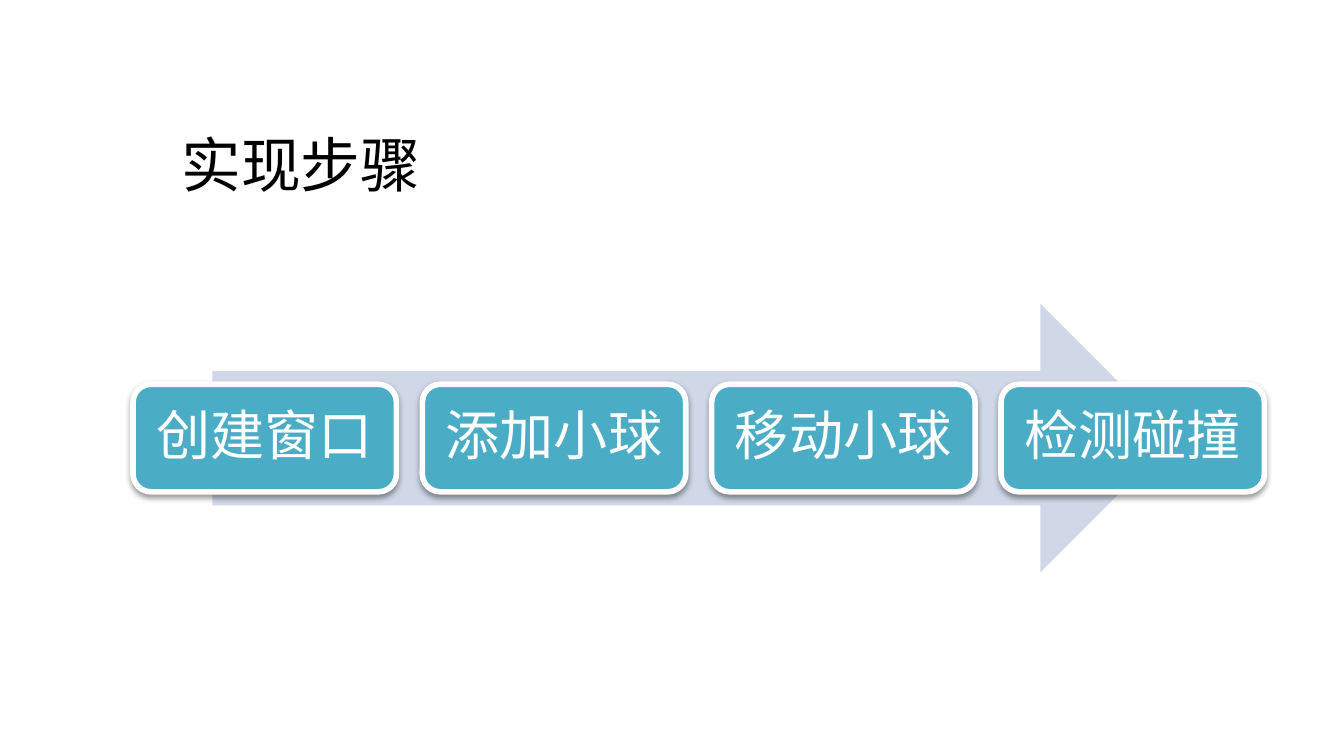
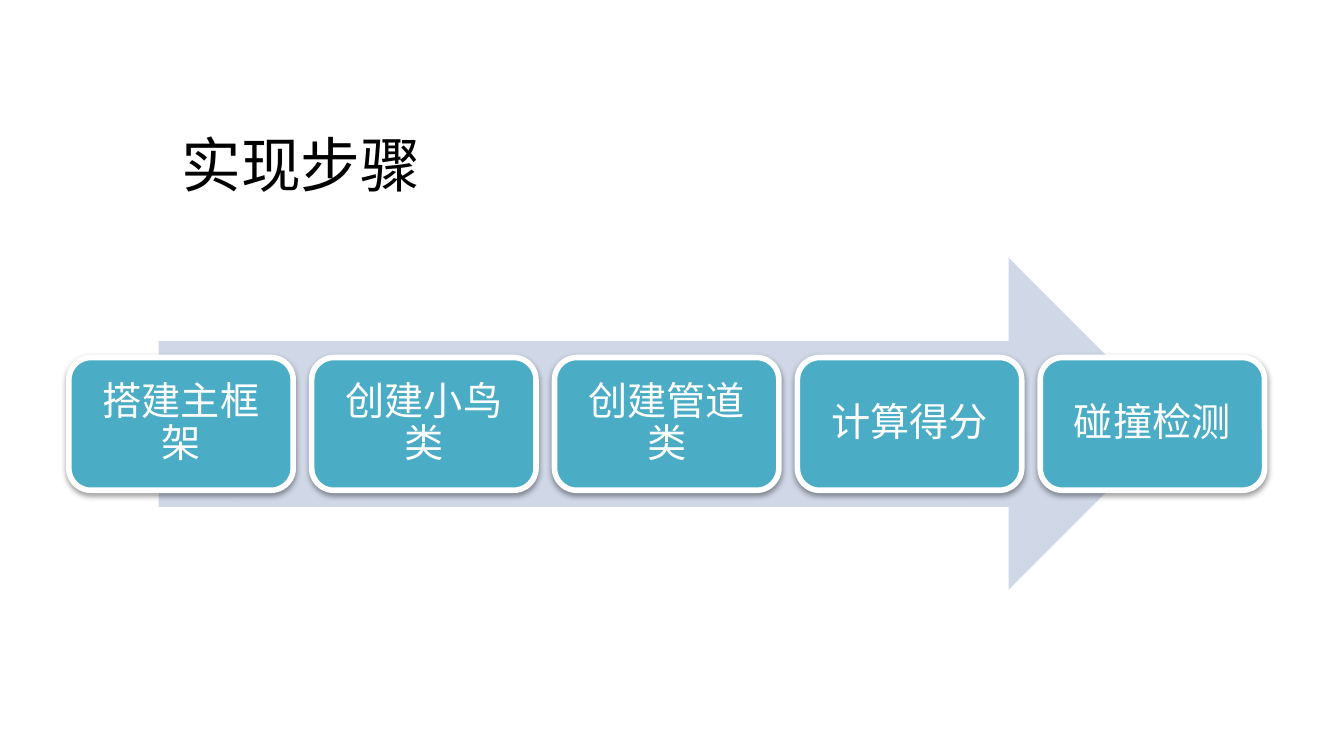
"""Build two slides that show implementation steps along an arrow."""
from dataclasses import dataclass

from lxml import etree
from pptx import Presentation
from pptx.dml.color import RGBColor
from pptx.enum.shapes import MSO_SHAPE
from pptx.enum.text import MSO_ANCHOR, MSO_AUTO_SIZE, PP_ALIGN
from pptx.oxml.ns import qn
from pptx.util import Pt

RIGHT_ARROW = MSO_SHAPE.RIGHT_ARROW
ROUNDED_RECTANGLE = MSO_SHAPE.ROUNDED_RECTANGLE
LEFT, CENTER = PP_ALIGN.LEFT, PP_ALIGN.CENTER
TOP, MIDDLE = MSO_ANCHOR.TOP, MSO_ANCHOR.MIDDLE
NO_AUTOFIT = MSO_AUTO_SIZE.NONE

FONT = "Calibri"
BLACK, WHITE = "000000", "FFFFFF"
ARROW_FILL, STEP_FILL = "D0D8E8", "4BACC6"
TITLE = "实现步骤"
TITLE_SIZE = 32
TITLE_BOX = (90, 64.8, 284.4, 48.2)
STEP_HEIGHT_RATIO = 0.4
TITLE_ONLY_LAYOUT = 5


@dataclass(frozen=True)
class Process:
    """Steps and layout of one process diagram, in points."""
    steps: tuple[str, ...]
    arrow: tuple[float, float, float, float]
    left: float
    step_width: float
    gap: float
    font_size: float
    inset: float


PROCESSES = (
    Process(("创建窗口", "添加小球", "移动小球", "检测碰撞"),
            (113.8, 162.7, 515.5, 144), 71.3, 141.1, 13.9, 29, 8.6),
    Process(("搭建主框架", "创建小鸟类", "创建管道类", "计算得分", "碰撞检测"),
            (85, 138.2, 544.3, 177.8), 36.9, 120.2, 9.9, 21, 6.5),
)


def color(value: str) -> RGBColor:
    return RGBColor.from_string(value)


def write_text(shape, text: str, size: float, text_color: str, alignment, anchor) -> None:
    frame = shape.text_frame
    frame.text = text
    frame.word_wrap = True
    frame.auto_size = NO_AUTOFIT
    frame.vertical_anchor = anchor
    paragraph = frame.paragraphs[0]
    paragraph.alignment = alignment
    font = paragraph.runs[0].font
    font.name = FONT
    font.size = Pt(size)
    font.color.rgb = color(text_color)


def add_filled_shape(slide, kind, box: tuple[float, float, float, float], fill: str):
    shape = slide.shapes.add_shape(kind, *map(Pt, box))
    shape.shadow.inherit = False
    shape.fill.solid()
    shape.fill.fore_color.rgb = color(fill)
    shape.line.fill.background()
    return shape


def add_soft_shadow(shape) -> None:
    effects = shape._element.spPr.find(qn("a:effectLst"))
    shadow = etree.SubElement(effects, qn("a:outerShdw"), blurRad=str(Pt(3.1)),
                              dist=str(Pt(1.6)), dir="5400000", rotWithShape="0")
    shade = etree.SubElement(shadow, qn("a:srgbClr"), val=BLACK)
    etree.SubElement(shade, qn("a:alpha"), val="38000")


def add_step(slide, text: str, box: tuple[float, float, float, float], process: Process) -> None:
    step = add_filled_shape(slide, ROUNDED_RECTANGLE, box, STEP_FILL)
    step.line.color.rgb = color(WHITE)
    step.line.width = Pt(3)
    add_soft_shadow(step)
    write_text(step, text, process.font_size, WHITE, CENTER, MIDDLE)
    frame = step.text_frame
    frame.margin_left = frame.margin_right = Pt(process.inset)
    frame.margin_top = frame.margin_bottom = Pt(process.inset)
    paragraph = frame.paragraphs[0]
    paragraph.line_spacing = 0.9
    space_after = etree.SubElement(paragraph._p.get_or_add_pPr(), qn("a:spcAft"))
    etree.SubElement(space_after, qn("a:spcPct"), val="35000")


def add_title(slide) -> None:
    title = slide.shapes.title
    title.left, title.top, title.width, title.height = map(Pt, TITLE_BOX)
    write_text(title, TITLE, TITLE_SIZE, BLACK, LEFT, TOP)


def add_process_slide(presentation, process: Process) -> None:
    slide = presentation.slides.add_slide(presentation.slide_layouts[TITLE_ONLY_LAYOUT])
    add_title(slide)
    add_filled_shape(slide, RIGHT_ARROW, process.arrow, ARROW_FILL)
    _, arrow_top, _, arrow_height = process.arrow
    height = arrow_height * STEP_HEIGHT_RATIO
    top = arrow_top + (arrow_height - height) / 2
    for index, text in enumerate(process.steps):
        left = process.left + index * (process.step_width + process.gap)
        add_step(slide, text, (left, top, process.step_width, height), process)


def main() -> None:
    presentation = Presentation()
    presentation.slide_width = Pt(720)
    presentation.slide_height = Pt(405)
    for process in PROCESSES:
        add_process_slide(presentation, process)
    presentation.save("out.pptx")


if __name__ == "__main__":
    main()
